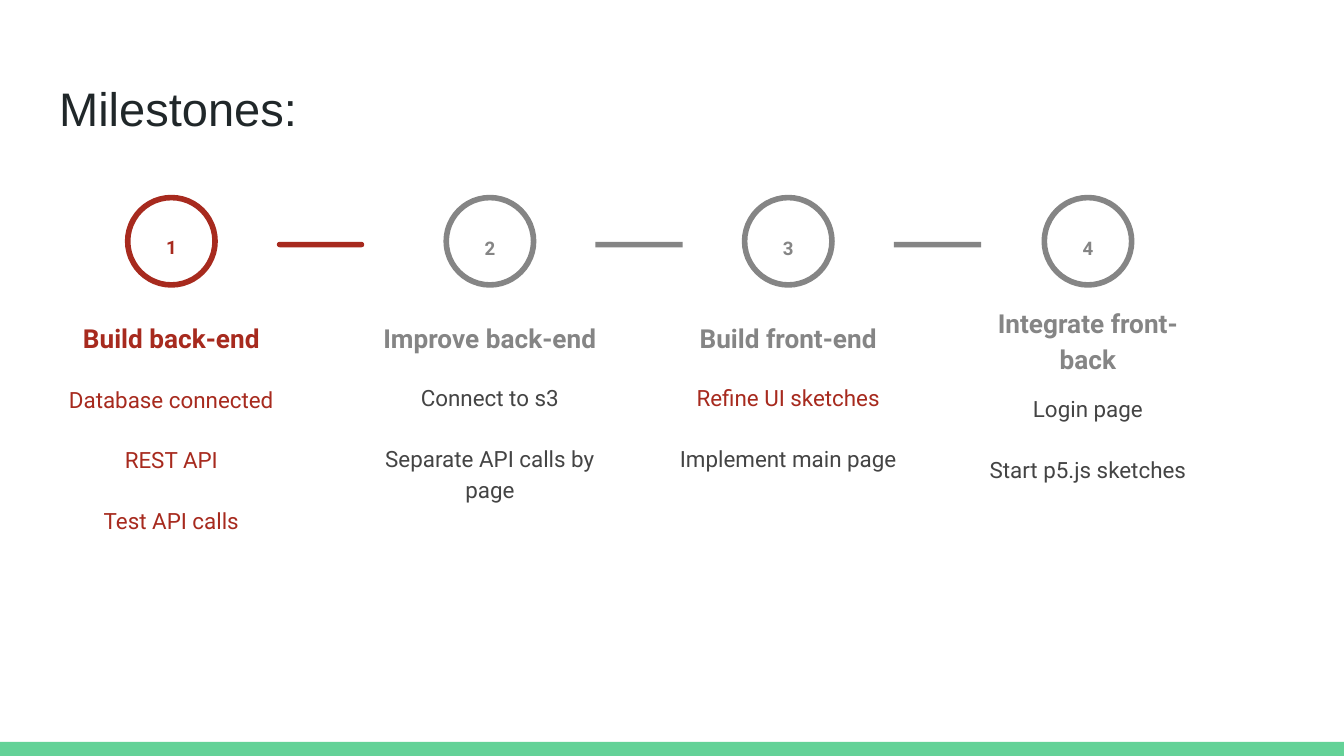
from pptx import Presentation
from pptx.dml.color import RGBColor
from pptx.enum.shapes import MSO_SHAPE
from pptx.enum.text import MSO_ANCHOR, MSO_AUTO_SIZE, PP_ALIGN
from pptx.util import Inches, Pt

RED, GRAY, DARK = "A72A1E", "858585", "444444"
RING, BAR = 0.65, 0.04
HEAD = 1.87

# left, colour, number top, heading, heading top, body top, body width, items
STEPS = [
    (0.34, RED, 1.63, "Build back-end", 2.24, 2.74, 1.87,
     [("Database connected", RED), ("REST API", RED), ("Test API calls", RED)]),
    (2.71, GRAY, 1.64, "Improve back-end", 2.24, 2.73, 2.08,
     [("Connect to s3", DARK), ("Separate API calls by page", DARK)]),
    (4.93, GRAY, 1.64, "Build front-end", 2.24, 2.73, 2.08,
     [("Refine UI sketches", RED), ("Implement main page", DARK)]),
    (7.16, GRAY, 1.64, "Integrate front-back", 2.4, 2.81, 2.08,
     [("Login page", DARK), ("Start p5.js sketches", DARK)]),
]


def rgb(color):
    return RGBColor.from_string(color)


def style(run, font, size, color, bold=False):
    run.font.name, run.font.size, run.font.bold = font, Pt(size), bold
    run.font.color.rgb = rgb(color)


def set_frame(frame, anchor):
    frame.word_wrap = True
    frame.auto_size = MSO_AUTO_SIZE.NONE
    frame.vertical_anchor = anchor
    frame.margin_left = frame.margin_right = Inches(0.1)
    frame.margin_top = frame.margin_bottom = Inches(0.1)


def add_shape(shapes, kind, box, fill=None, line=None):
    shape = shapes.add_shape(kind, *map(Inches, box))
    shape.shadow.inherit = False
    if fill:
        shape.fill.solid()
        shape.fill.fore_color.rgb = rgb(fill)
    else:
        shape.fill.background()
    if line:
        shape.line.color.rgb = rgb(line)
        shape.line.width = Pt(3)
    else:
        shape.line.fill.background()
    return shape


def add_text(shapes, box, items, size, bold=False, anchor=MSO_ANCHOR.TOP):
    """Add centred paragraphs from (text, colour) pairs."""
    frame = shapes.add_textbox(*map(Inches, box)).text_frame
    set_frame(frame, anchor)
    for i, (text, color) in enumerate(items):
        para = frame.add_paragraph() if i else frame.paragraphs[0]
        para.text = text
        para.alignment = PP_ALIGN.CENTER
        para.line_spacing = 1.15
        para.space_before = Pt(16 if i else 0)
        style(para.runs[0], "Roboto", size, color, bold)


def add_title(slide, box, text):
    title = slide.shapes.title
    title.left, title.top, title.width, title.height = map(Inches, box)
    title.text_frame.text = text
    set_frame(title.text_frame, MSO_ANCHOR.TOP)
    para = title.text_frame.paragraphs[0]
    para.alignment = PP_ALIGN.LEFT
    style(para.runs[0], "Arial", 25.2, "202729")


def add_step(slide, num, top, step):
    left, color, num_top, head, head_top, body_top, width, items = step
    mid = left + HEAD / 2
    shapes = slide.shapes.add_group_shape().shapes
    add_shape(shapes, MSO_SHAPE.OVAL,
              (mid - RING / 2, top, RING, RING), line=color)
    add_text(shapes, (left, head_top, HEAD, 0.49), [(head, color)],
             14, True, MSO_ANCHOR.BOTTOM)
    add_text(shapes, (mid - width / 2, body_top, width, 0.81), items, 12)
    add_text(shapes, (mid - 0.24, num_top, 0.48, 0.35),
             [(str(num), color)], 10, True)


def add_bar(slide, left, top, color, bend):
    bar = add_shape(slide.shapes, MSO_SHAPE.ROUNDED_RECTANGLE,
                    (left, top, RING, BAR), fill=color)
    bar.adjustments[0] = bend


def main():
    deck = Presentation()
    deck.slide_width = Inches(10)
    deck.slide_height = deck.slide_width * 9 // 16
    slide = deck.slides.add_slide(deck.slide_layouts[5])
    add_shape(slide.shapes, MSO_SHAPE.RECTANGLE, (0, 5.52, 10, 0.11), "63D297")
    add_title(slide, (0.34, 0.49, 9.32, 0.63), "Milestones:")
    for num, step in enumerate(STEPS, 1):
        add_step(slide, num, 1.47, step)
        if num < len(STEPS):
            left, color = step[:2]
            add_bar(slide, left + 1.72, 1.8, color, 0.5 if num == 1 else 0)
    deck.save("out.pptx")


if __name__ == "__main__":
    main()
